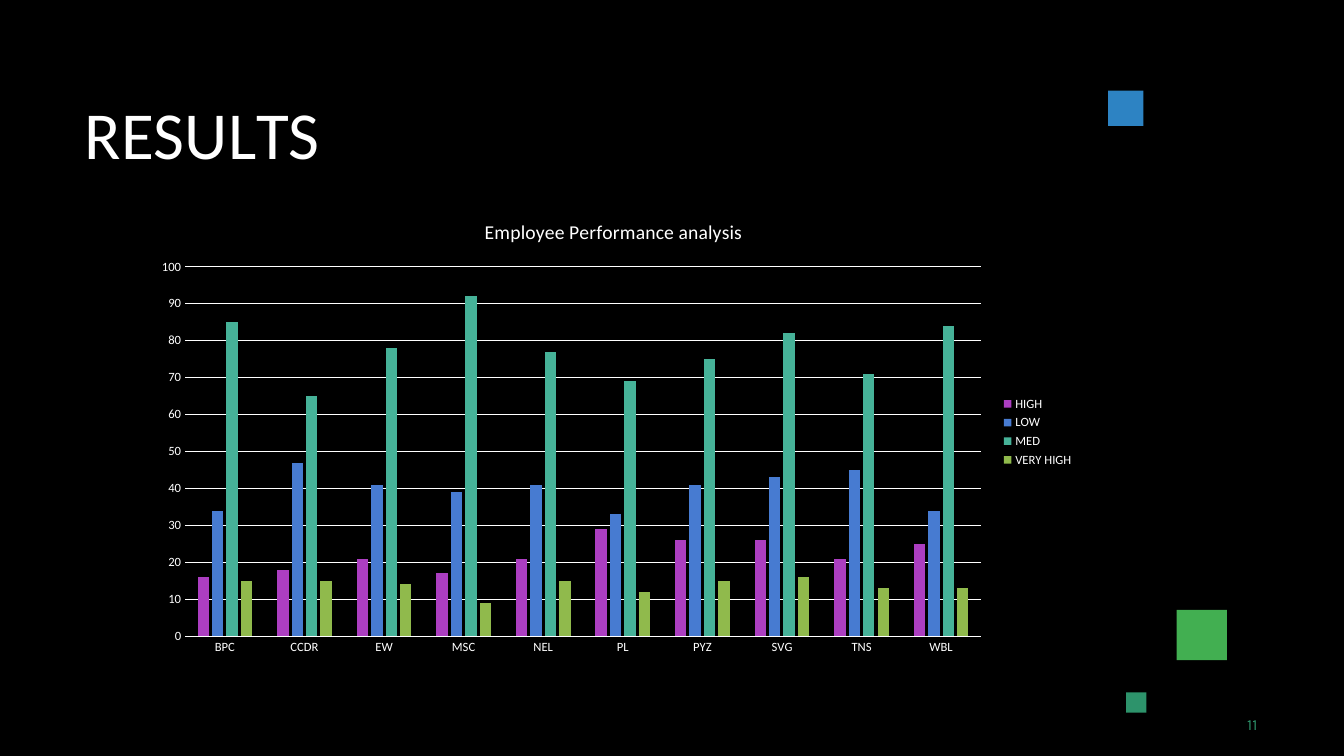
import pptx
import pptx.chart.data
import pptx.dml.color
import pptx.enum.chart
import pptx.enum.shapes
import pptx.enum.text
import pptx.util

Inches = pptx.util.Inches
Pt = pptx.util.Pt


def color(hex_code):
    """Turn a hex string into a colour."""
    return pptx.dml.color.RGBColor.from_string(hex_code)


class SlideBuilder:
    """Hold the style and the slide being built."""

    FONT = "Calibri"
    NUMBER_FONT = "Karla"
    WHITE = "FFFFFF"
    BLACK = "000000"
    TEAL = "2D936B"

    def __init__(self, slide):
        """Take the slide and paint its background."""
        self.slide = slide
        slide.background.fill.solid()
        slide.background.fill.fore_color.rgb = color(self.BLACK)

    def style_font(self, font, size, hex_code=WHITE, face=FONT):
        """Apply size, colour and typeface to a font."""
        font.size = Pt(size)
        font.name = face
        font.bold = False
        font.color.rgb = color(hex_code)

    def square(self, left, top, width, height, fill):
        """Add a plain filled block."""
        block = self.slide.shapes.add_shape(
            pptx.enum.shapes.MSO_SHAPE.RECTANGLE,
            Inches(left), Inches(top), Inches(width), Inches(height))
        block.shadow.inherit = False
        block.fill.solid()
        block.fill.fore_color.rgb = color(fill)
        block.line.fill.background()

    def text(self, box, runs, size, space_before, indent,
             hex_code=WHITE, face=FONT, anchor="TOP"):
        """Add one line made of (text, letter spacing in points) runs."""
        frame = self.slide.shapes.add_textbox(*map(Inches, box)).text_frame
        frame.word_wrap = True
        frame.vertical_anchor = getattr(pptx.enum.text.MSO_ANCHOR, anchor)
        frame.margin_left = frame.margin_right = frame.margin_bottom = 0
        frame.margin_top = Inches(0.01)
        line = frame.paragraphs[0]
        line.space_before = Pt(space_before)
        line._p.get_or_add_pPr().set("marL", str(Inches(indent)))
        for content, spacing in runs:
            run = line.add_run()
            run.text = content
            self.style_font(run.font, size, hex_code, face)
            run._r.get_or_add_rPr().set("spc", str(round(spacing * 100)))

    def column_chart(self, box, title, categories, series):
        """Add a clustered column chart from (name, colour, values) rows."""
        data = pptx.chart.data.CategoryChartData()
        data.categories = categories
        for name, _, values in series:
            data.add_series(name, values)
        chart = self.slide.shapes.add_chart(
            pptx.enum.chart.XL_CHART_TYPE.COLUMN_CLUSTERED,
            *map(Inches, box), data).chart
        self.style_font(chart.font, 10)

        chart.has_title = True
        heading = chart.chart_title.text_frame.paragraphs[0].add_run()
        heading.text = title
        self.style_font(heading.font, 14)
        chart.chart_title.include_in_layout = False

        chart.has_legend = True
        chart.legend.position = pptx.enum.chart.XL_LEGEND_POSITION.RIGHT
        chart.legend.include_in_layout = False
        self.style_font(chart.legend.font, 9)

        plot = chart.plots[0]
        plot.vary_by_categories = False
        plot.gap_width = 219
        plot.overlap = -27
        for columns, (_, fill, _) in zip(plot.series, series):
            columns.format.fill.solid()
            columns.format.fill.fore_color.rgb = color(fill)

        for axis in (chart.category_axis, chart.value_axis):
            axis.major_tick_mark = pptx.enum.chart.XL_TICK_MARK.NONE
            axis.minor_tick_mark = pptx.enum.chart.XL_TICK_MARK.NONE
            self.style_font(axis.tick_labels.font, 9)
        scale = chart.value_axis
        scale.minimum_scale, scale.maximum_scale, scale.major_unit = 0, 100, 10
        scale.format.line.fill.background()
        scale.has_major_gridlines = True
        for line in (chart.category_axis.format.line,
                     scale.major_gridlines.format.line):
            line.color.rgb = color(self.WHITE)
            line.width = Pt(0.75)


def main():
    """Build the results slide and save it."""
    deck = pptx.Presentation()
    deck.slide_width, deck.slide_height = Inches(13.33), Inches(7.5)
    results = SlideBuilder(deck.slides.add_slide(deck.slide_layouts[6]))

    results.square(11.67, 6.05, 0.5, 0.5, "42AF51")
    results.square(10.99, 0.9, 0.35, 0.35, "2D83C3")
    results.square(11.17, 6.87, 0.2, 0.2, results.TEAL)

    results.text((0.83, 0.9, 3.67, 0.82),
                 [("R", 0), ("E", -0.4), ("S", 0.1), ("U", -0.3),
                  ("L", -4), ("TS", 0)],
                 48, 1.1, 0.01, anchor="MIDDLE")
    results.text((12.33, 7.08, 0.25, 0.21), [("11", 0.1)], 11, 0.6, 0.04,
                 results.TEAL, results.NUMBER_FONT)

    units = ["BPC", "CCDR", "EW", "MSC", "NEL",
             "PL", "PYZ", "SVG", "TNS", "WBL"]
    ratings = [
        ("HIGH", "AC3EC1", [16, 18, 21, 17, 21, 29, 26, 26, 21, 25]),
        ("LOW", "477BD1", [34, 47, 41, 39, 41, 33, 41, 43, 45, 34]),
        ("MED", "46B298", [85, 65, 78, 92, 77, 69, 75, 82, 71, 84]),
        ("VERY HIGH", "90BA4C", [15, 15, 14, 9, 15, 12, 15, 16, 13, 13]),
    ]
    results.column_chart((1.42, 1.98, 9.33, 4.61),
                         "Employee Performance analysis", units, ratings)
    deck.save("out.pptx")


if __name__ == "__main__":
    main()
